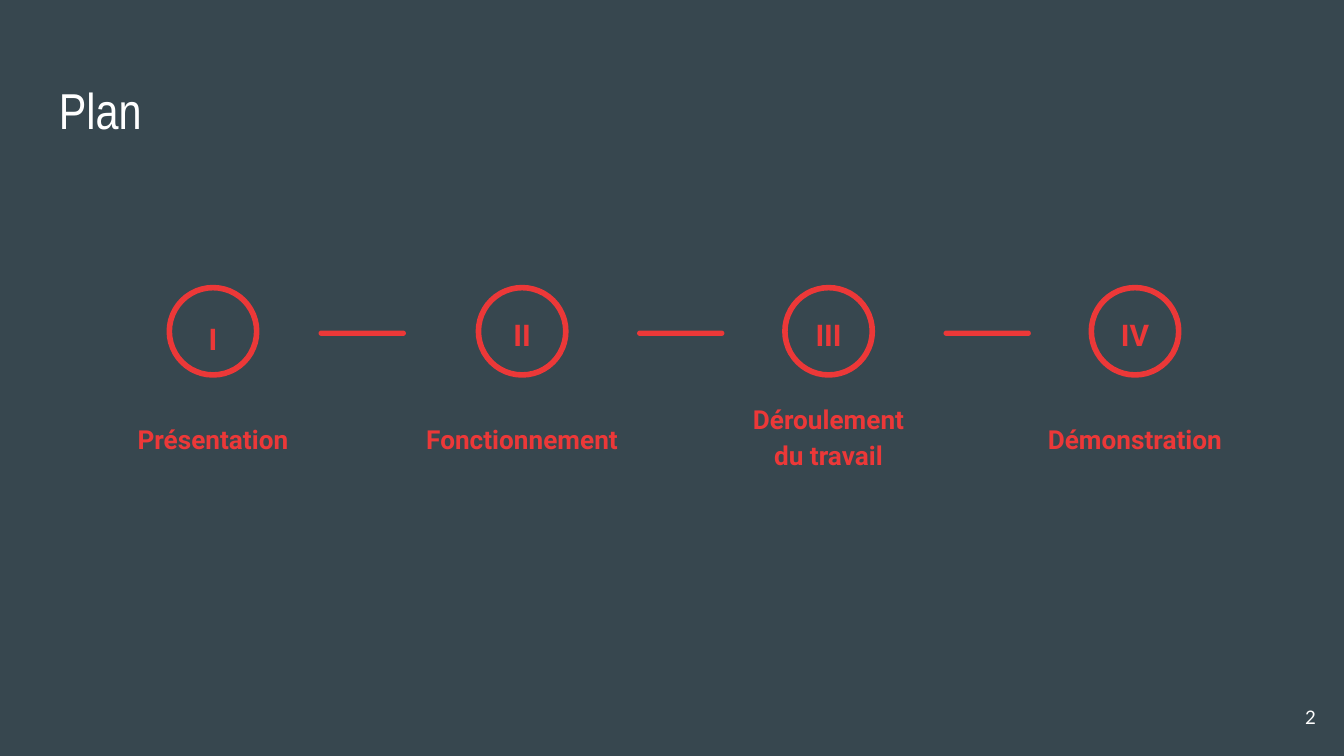
from pptx import Presentation
from pptx.dml.color import RGBColor
from pptx.enum.shapes import MSO_SHAPE as Kind
from pptx.enum.text import MSO_ANCHOR as Anchor, PP_ALIGN as Align
from pptx.util import Inches, Pt

SLATE = RGBColor(0x37, 0x47, 0x4F)
RED = RGBColor(0xEC, 0x38, 0x38)
WHITE = RGBColor(0xFF, 0xFF, 0xFF)

deck = Presentation()
deck.slide_width = Inches(10)
deck.slide_height = deck.slide_width * 9 // 16
slide = deck.slides.add_slide(deck.slide_layouts[6])
slide.background.fill.solid()
slide.background.fill.fore_color.rgb = SLATE


def write(text, box, font, size, color, align=Align.LEFT, anchor=Anchor.TOP, bold=False):
    frame = slide.shapes.add_textbox(*map(Inches, box)).text_frame
    frame.word_wrap = True
    frame.vertical_anchor = anchor
    frame.margin_left = frame.margin_right = Inches(0.1)
    frame.margin_top = frame.margin_bottom = Inches(0.1)
    par = frame.paragraphs[0]
    par.text = text
    par.alignment = align
    face = par.runs[0].font
    face.name, face.size, face.bold = font, Pt(size), bold
    face.color.rgb = color
    return par


def draw(kind, *box):
    shape = slide.shapes.add_shape(kind, *map(Inches, box))
    shape.shadow.inherit = False
    return shape


write("Plan", (0.34, 0.49, 9.32, 0.63), "Arial Narrow", 27, WHITE)

SIZE = 0.65
TOP = 2.14
steps = [
    ("I", "Présentation", 1.26, 2.25, 1.87, Anchor.BOTTOM),
    ("II", "Fonctionnement", 3.56, 2.22, 1.87, Anchor.BOTTOM),
    ("III", "Déroulement du travail", 5.84, 2.22, 1.34, Anchor.MIDDLE),
    ("IV", "Démonstration", 8.12, 2.22, 1.87, Anchor.BOTTOM),
]
for mark, label, left, top, width, anchor in steps:
    mid = left + SIZE / 2
    ring = draw(Kind.OVAL, left, TOP, SIZE, SIZE)
    ring.fill.background()
    ring.line.color.rgb = RED
    ring.line.width = Pt(3)
    par = write(mark, (mid - 0.24, top, 0.48, 0.44), "Roboto", 16, RED, Align.CENTER, bold=True)
    par.line_spacing = 1.15
    par.space_after = Pt(16)
    par = write(label, (mid - width / 2, 2.99, width, 0.49), "Roboto", 14, RED,
                Align.CENTER, anchor, True)
    par.line_spacing = 1.15

for left in (2.37, 4.74, 7.02):
    bar = draw(Kind.ROUNDED_RECTANGLE, left, 2.46, SIZE, 0.04)
    bar.adjustments[0] = 0.5
    bar.fill.solid()
    bar.fill.fore_color.rgb = RED
    bar.line.fill.background()

write("2", (9.29, 5.12, 0.6, 0.43), "Lato", 10, WHITE, Align.RIGHT, Anchor.MIDDLE)

deck.save("out.pptx")
